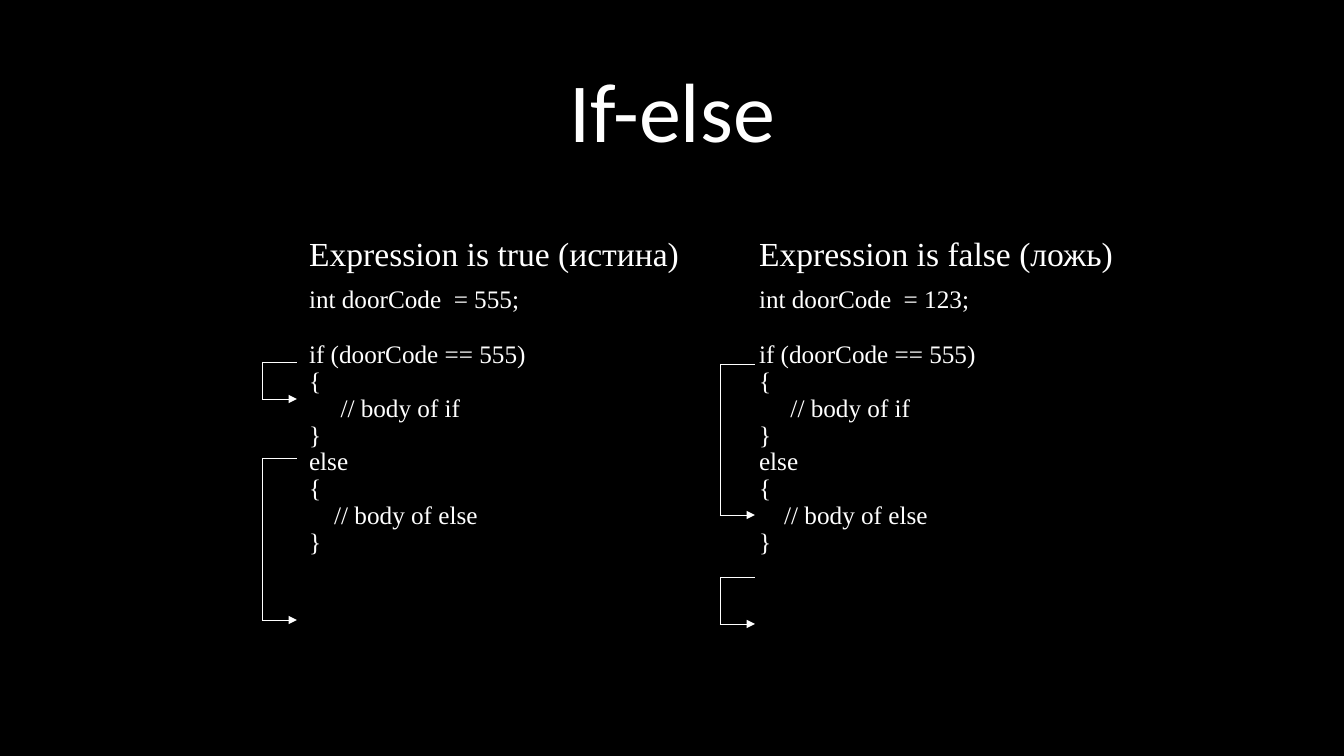
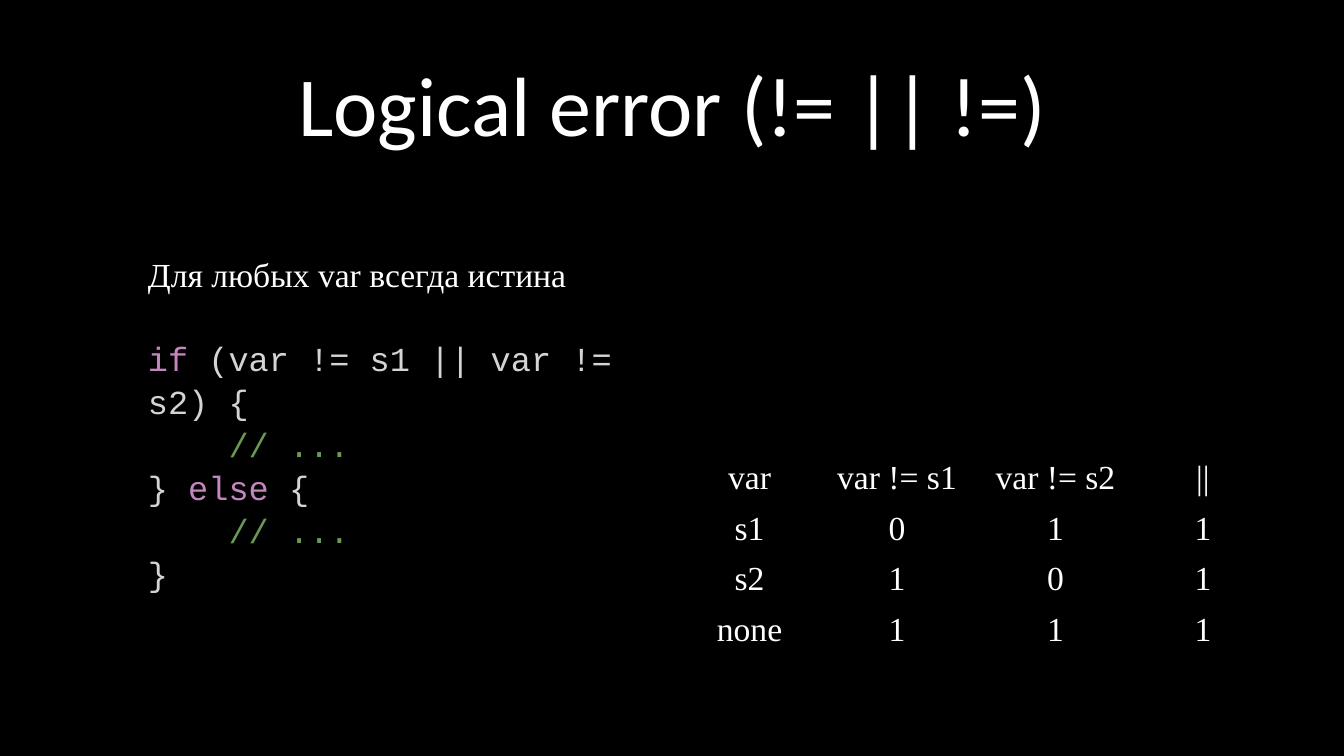
import pptx
import pptx.dml.color
import pptx.enum.shapes
import pptx.enum.text
import pptx.oxml.ns
import pptx.oxml.xmlchemy
import pptx.util

PX = 914400 / 100.8
BLACK, WHITE = "000000", "FFFFFF"
KEYWORD, CODE, COMMENT = "C586C0", "D4D4D4", "6A9955"
TITLE_FONT, BODY_FONT, CODE_FONT = "Calibri", "Times New Roman", "Courier New"
NO_STYLE_NO_GRID = "{2D5ABB26-0587-4C30-8999-92F81FD0307C}"
CENTER = pptx.enum.text.PP_ALIGN.CENTER


def emu(*lengths):
    return [round(length * PX) for length in lengths]


def color(value):
    return pptx.dml.color.RGBColor.from_string(value)


presentation = pptx.Presentation()
presentation.slide_width, presentation.slide_height = emu(1344, 756)
background = presentation.slide_master.background.fill
background.solid()
background.fore_color.rgb = color(BLACK)


def add_lines(frame, lines, size, font=BODY_FONT, align=None, spacing=None, gap=0):
    """Write each line, a list of (text, colour) runs; None stands for a gap in points."""
    space = 0
    for line in lines:
        if line is None:
            space = gap
            continue
        paragraph = frame.add_paragraph() if frame.text else frame.paragraphs[0]
        paragraph.alignment = align
        paragraph.line_spacing = spacing
        if space:
            paragraph.space_before = pptx.util.Pt(space)
            space = 0
        for text, run_color in line:
            run = paragraph.add_run()
            run.text = text
            run.font.size = pptx.util.Pt(size)
            run.font.name = font
            run.font.color.rgb = color(run_color)


# Slides with their titles
slides = []
for title, top in [("If-else", 38), ("Logical error (!= || !=)", 32)]:
    slide = presentation.slides.add_slide(presentation.slide_layouts[6])
    frame = slide.shapes.add_textbox(*emu(175, top, 994, 128)).text_frame
    frame.word_wrap = True
    frame.vertical_anchor = pptx.enum.text.MSO_ANCHOR.BOTTOM
    add_lines(frame, [[(title, WHITE)]], 60, TITLE_FONT, CENTER, 0.9)
    slides.append(slide)
branch_slide, error_slide = slides

# Plain tables
tables = []
for slide, left, top, widths, heights in [
    (branch_slide, 299, 232, [450, 450], [49, 314]),
    (error_slide, 683, 455, [133, 162, 155, 140], [50, 50, 50, 74]),
]:
    shape = slide.shapes.add_table(
        len(heights), len(widths), *emu(left, top, sum(widths), sum(heights)))
    table = shape.table
    table.first_row = table.horz_banding = False
    next(shape.element.iter(pptx.oxml.ns.qn("a:tableStyleId"))).text = NO_STYLE_NO_GRID
    for column, width in zip(table.columns, emu(*widths)):
        column.width = width
    for row, height in zip(table.rows, emu(*heights)):
        row.height = height
    for cell in table.iter_cells():
        cell.fill.background()
    tables.append(table)
branch_table, truth_table = tables

# If-else: the same code with a matching and a wrong door code
branch_code = ["if (doorCode == 555)", "{", "     // body of if", "}",
               "else", "{", "    // body of else", "}"]
for column, (heading, door_code) in enumerate([
    ("Expression is true (истина)", 555),
    ("Expression is false (ложь)", 123),
]):
    add_lines(branch_table.cell(0, column).text_frame, [[(heading, WHITE)]], 24)
    lines = [[(f"int doorCode  = {door_code};", WHITE)], None]
    lines += [[(text, WHITE)] for text in branch_code]
    add_lines(branch_table.cell(1, column).text_frame, lines, 18, spacing=0.96, gap=20)

# Jump arrows beside the code
for left, top, bottom in [(262, 362, 399), (262, 458, 620), (720, 364, 515), (720, 577, 624)]:
    right = left + 35
    for ends in [(right, top, left, top), (left, top, left, bottom), (left, bottom, right, bottom)]:
        connector = branch_slide.shapes.add_connector(
            pptx.enum.shapes.MSO_CONNECTOR.STRAIGHT, *emu(*ends))
        connector.line.color.rgb = color(WHITE)
        connector.line.width = pptx.util.Pt(0.5)
        properties = connector.element.spPr
        properties.append(pptx.oxml.xmlchemy.OxmlElement("a:effectLst"))
    arrowhead = pptx.oxml.xmlchemy.OxmlElement("a:tailEnd")
    arrowhead.set("type", "triangle")
    properties.find(pptx.oxml.ns.qn("a:ln")).append(arrowhead)

# Logical error: statement and code
frame = error_slide.shapes.add_textbox(*emu(138, 246, 563, 295)).text_frame
frame.word_wrap = True
add_lines(frame, [[("Для любых var всегда истина", WHITE)]], 24, spacing=1.07)
comment_line = [("    ", CODE), ("// ...", COMMENT)]
add_lines(frame, [
    None,
    [("if", KEYWORD), (" (var != s1 || var != s2) {", CODE)],
    comment_line,
    [("} ", CODE), ("else", KEYWORD), (" {", CODE)],
    comment_line,
    [("}", CODE)],
], 24, CODE_FONT, spacing=1.07, gap=29)

# Truth table
truth_rows = [
    ["var", "var != s1", "var != s2", "||"],
    ["s1", "0", "1", "1"],
    ["s2", "1", "0", "1"],
    ["none", "1", "1", "1"],
]
for row, texts in enumerate(truth_rows):
    for column, text in enumerate(texts):
        add_lines(truth_table.cell(row, column).text_frame, [[(text, WHITE)]], 24, align=CENTER)

presentation.save("out.pptx")
